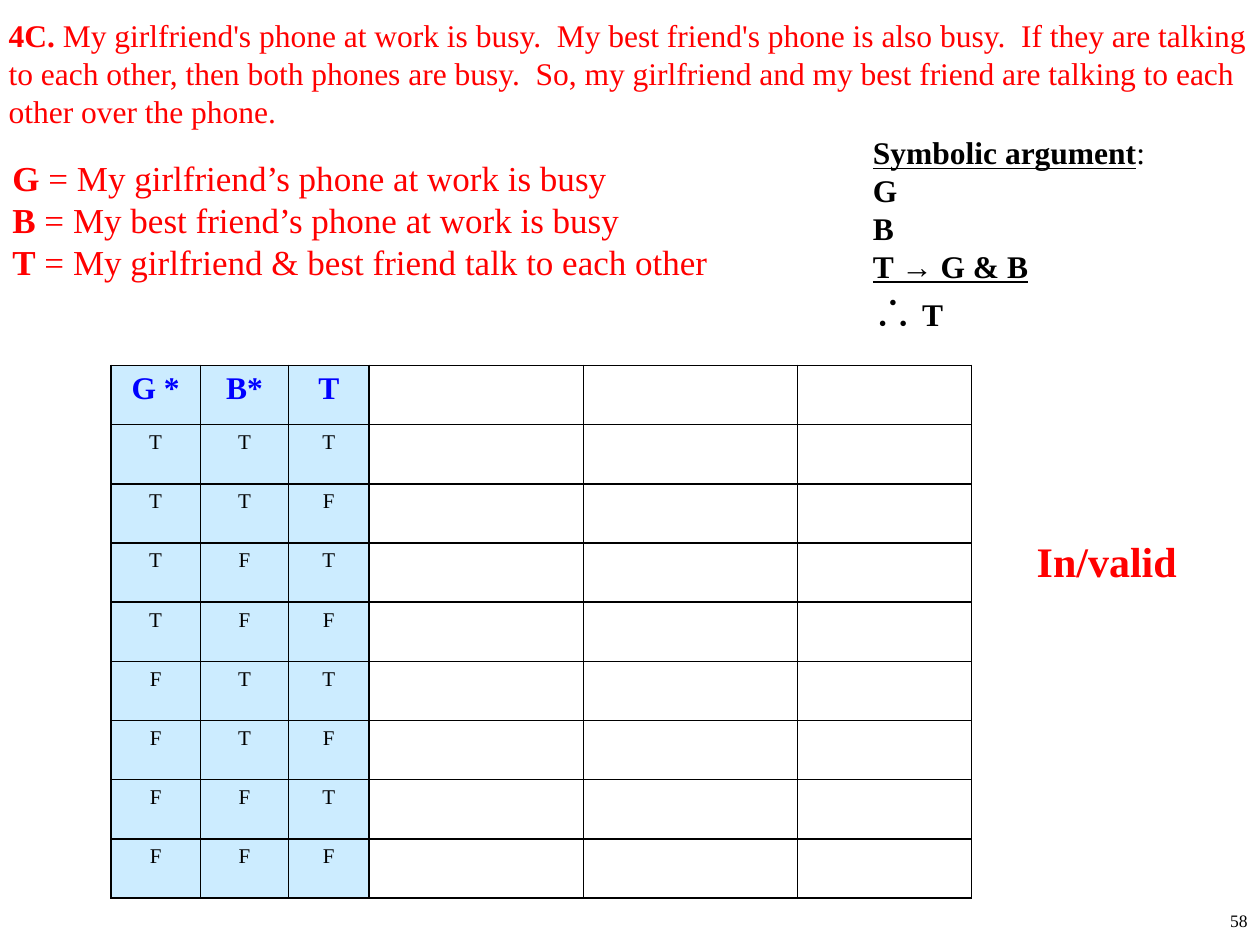
"""Build a truth-table exercise slide with its symbolic argument."""
from itertools import product

from lxml import etree
from pptx import Presentation
from pptx.dml.color import RGBColor
from pptx.enum import text
from pptx.oxml import ns
from pptx.util import Inches, Pt

FONT = "Times New Roman"
RED = RGBColor(0xFF, 0, 0)
BLUE = RGBColor(0, 0, 0xFF)
BLACK = RGBColor(0, 0, 0)
WHITE = RGBColor(0xFF, 0xFF, 0xFF)
PALE_BLUE = RGBColor(0xCC, 0xEC, 0xFF)

PROBLEM = [[
    ("4C. ", {"bold": True}),
    ("My girlfriend's phone at work is busy.  My best friend's phone is also busy.  "
     "If they are talking to each other, then both phones are busy.  So, my girlfriend "
     "and my best friend are talking to each other over the phone.", {}),
]]
ARGUMENT = [
    [("Symbolic argument", {"bold": True, "underline": True}), (":", {})],
    [("G", {"bold": True})],
    [("B", {"bold": True})],
    [("T → G & B", {"bold": True, "underline": True})],
    [("∴", {"size": 24}), (" T", {"bold": True})],
]
MEANINGS = {
    "G": "My girlfriend’s phone at work is busy",
    "B": "My best friend’s phone at work is busy",
    "T": "My girlfriend & best friend talk to each other",
}
DEFINITIONS = [[(letter, {"bold": True}), (f" = {meaning}", {})]
               for letter, meaning in MEANINGS.items()]
VERDICT = [[("In/valid", {"bold": True})]]
PAGE_NUMBER = [[("58", {})]]

HEADINGS = ["G *", "B*", "T"]
TRUTH_ROWS = list(product("TF", repeat=len(HEADINGS)))
COLUMN_WIDTHS = [0.71, 0.7, 0.64, 1.7, 1.7, 1.38]
ROW_HEIGHT = 0.47


def add_span(para, content, size=18, color=BLACK, bold=False, underline=False):
    span = para.add_run()
    span.text = content
    font = span.font
    font.name, font.size, font.bold, font.underline = FONT, Pt(size), bold, underline
    font.color.rgb = color


def add_text(page, paragraphs, place, align=text.PP_ALIGN.LEFT, indent=0, **style):
    box = page.shapes.add_textbox(*map(Inches, place))
    frame = box.text_frame
    frame.word_wrap = True
    for index, spans in enumerate(paragraphs):
        para = frame.add_paragraph() if index else frame.paragraphs[0]
        para.alignment = align
        if indent:
            properties = para._p.get_or_add_pPr()
            properties.set("marL", str(Inches(indent)))
            properties.set("indent", "0")
        for content, changes in spans:
            add_span(para, content, **{**style, **changes})


def add_borders(cell):
    properties = cell._tc.get_or_add_tcPr()
    for side in ("lnL", "lnR", "lnT", "lnB"):
        line = etree.SubElement(properties, ns.qn(f"a:{side}"), w=str(Pt(1)))
        fill = etree.SubElement(line, ns.qn("a:solidFill"))
        etree.SubElement(fill, ns.qn("a:srgbClr"), val=str(BLACK))


def add_truth_table(page, left, top):
    rows = [HEADINGS, *TRUTH_ROWS]
    size = sum(COLUMN_WIDTHS), ROW_HEIGHT * len(rows)
    table = page.shapes.add_table(len(rows), len(COLUMN_WIDTHS),
                                  *map(Inches, (left, top, *size))).table
    for column, width in zip(table.columns, COLUMN_WIDTHS):
        column.width = Inches(width)
    for row_index, values in enumerate(rows):
        table.rows[row_index].height = Inches(ROW_HEIGHT)
        style = {"size": 12} if row_index else {"color": BLUE, "bold": True}
        for column_index, cell in enumerate(table.rows[row_index].cells):
            given = column_index < len(values)
            add_borders(cell)
            cell.fill.solid()
            cell.fill.fore_color.rgb = PALE_BLUE if given else WHITE
            if given:
                para = cell.text_frame.paragraphs[0]
                para.alignment = text.PP_ALIGN.CENTER
                add_span(para, values[column_index], **style)


def main():
    deck = Presentation()
    deck.slide_width, deck.slide_height = Inches(10), Inches(7.5)
    page = deck.slides.add_slide(deck.slide_layouts[6])
    add_truth_table(page, 0.88, 2.9)
    add_text(page, PAGE_NUMBER, (7.92, 7.17, 2.08, 0.33),
             align=text.PP_ALIGN.RIGHT, size=10)
    add_text(page, PROBLEM, (-0.28, 0.08, 10.35, 0.82), indent=0.25, color=RED)
    add_text(page, ARGUMENT, (6.83, 1.01, 3.08, 1.72))
    add_text(page, DEFINITIONS, (0, 1.19, 6.84, 1.51), size=20, color=RED)
    add_text(page, VERDICT, (8.13, 4.2, 1.57, 0.5), size=24, color=RED)
    deck.save("out.pptx")


if __name__ == "__main__":
    main()
